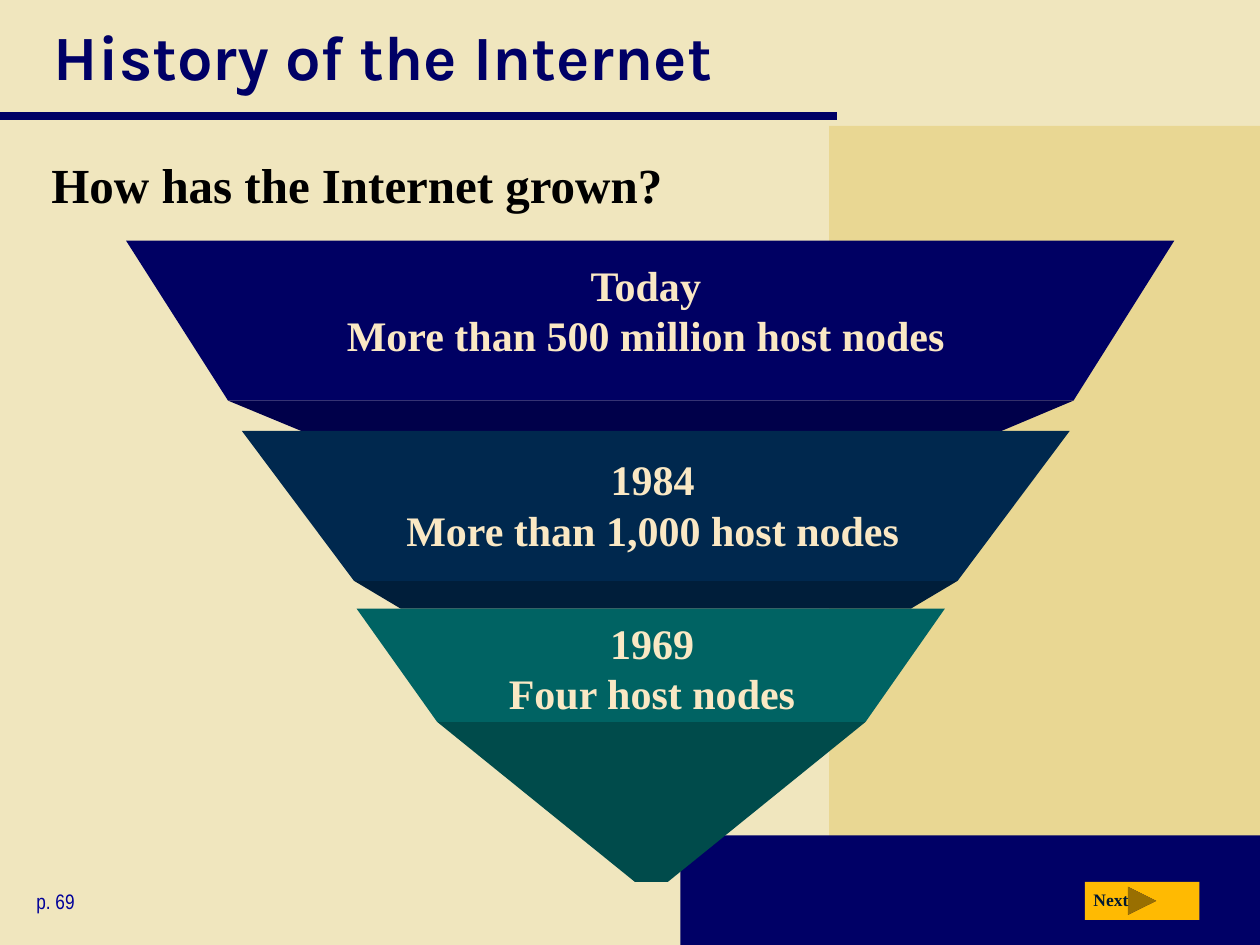
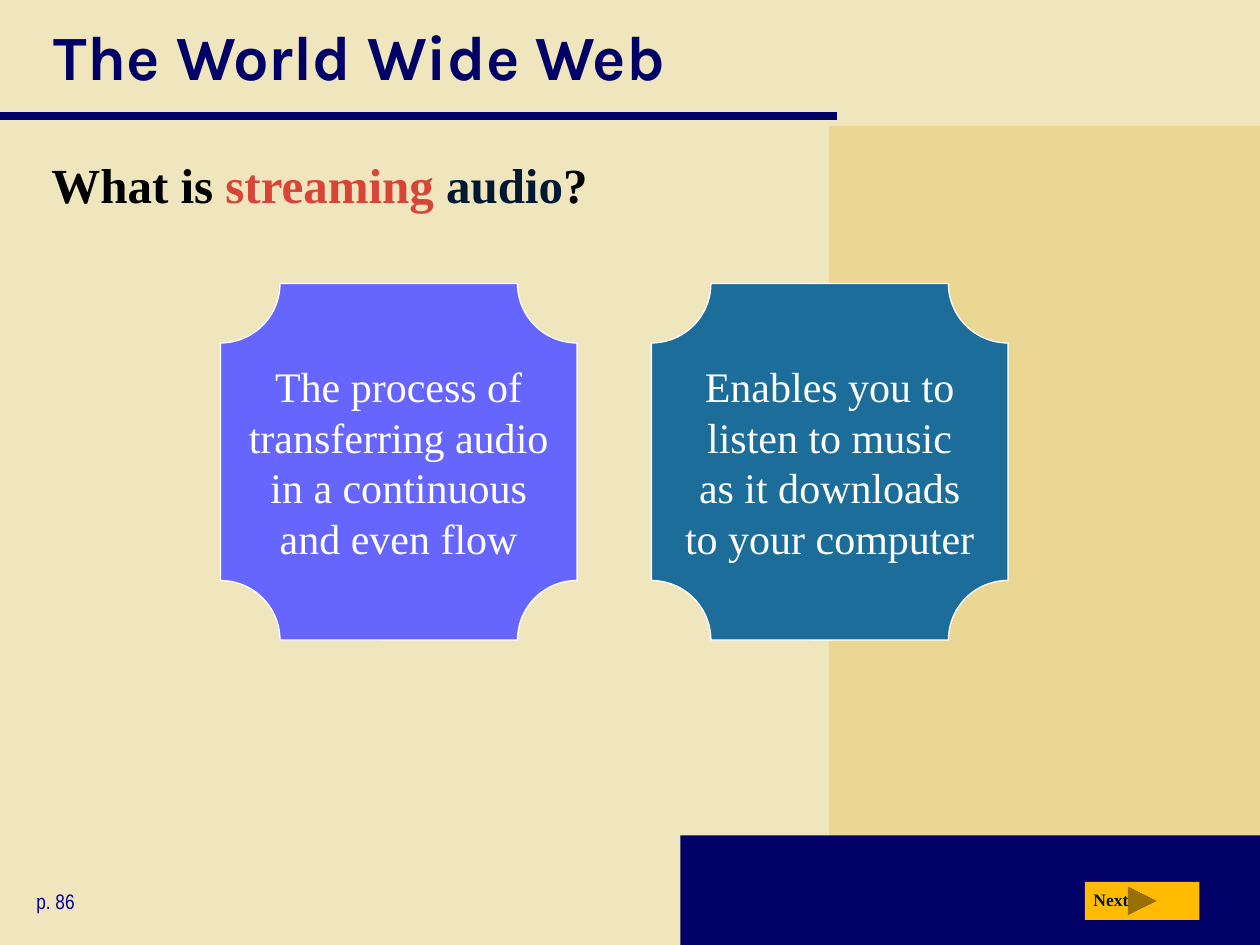
from pptx import Presentation, util as u
from pptx.dml.color import RGBColor
from pptx.enum import shapes, text
from pptx.oxml import parse_xml
from pptx.oxml.ns import nsdecls

SERIF, HEADING, NARROW = "Times New Roman", "Karla", "Arial Narrow"
NAVY = RGBColor(0x00, 0x00, 0x66)
PAPER = RGBColor(0xF0, 0xE6, 0xBE)
SAND = RGBColor(0xE9, 0xD7, 0x93)
PAGE_BLUE = RGBColor(0x00, 0x00, 0x99)
AMBER = RGBColor(0xFF, 0xBA, 0x02)
CREAM = RGBColor(0xFA, 0xE8, 0xC4)
BLACK = RGBColor(0x00, 0x00, 0x00)
WHITE = RGBColor(0xFF, 0xFF, 0xFF)
INK = RGBColor(0x00, 0x19, 0x32)
RED = RGBColor(0xD9, 0x44, 0x39)
VIOLET = RGBColor(0x66, 0x66, 0xFF)
STEEL = RGBColor(0x1C, 0x6D, 0x9A)

WIDTH, HEIGHT = 10, 7.5
PLAQUE_SIZE, PLAQUE_LEFT, PLAQUE_TOP, PLAQUE_STEP = 2.83, 1.75, 2.25, 3.42

HISTORY = {"title": "History of the Internet", "page": "p. 69",
           "question": [("How has the Internet grown?", BLACK)]}
WEB = {"title": "The World Wide Web", "page": "p. 86",
       "question": [("What is ", BLACK), ("streaming", RED), (" audio", INK), ("?", BLACK)]}

# Each edge is (left, right, y): top of the face, fold, end of the receding side.
TIERS = [
    {"lines": ["Today", "More than 500 million host nodes"],
     "edges": [(1, 9.32, 1.91), (1.81, 8.52, 3.18), (2.39, 7.95, 3.42)],
     "face": RGBColor(0x00, 0x00, 0x63), "side": RGBColor(0x00, 0x00, 0x4A),
     "box": (1, 1.91, 8.25, 1.01), "inset": 0.15},
    {"lines": ["1984", "More than 1,000 host nodes"],
     "edges": [(1.92, 8.49, 3.42), (2.81, 7.6, 4.61), (3.18, 7.23, 4.83)],
     "face": RGBColor(0x00, 0x28, 0x4E), "side": RGBColor(0x00, 0x1E, 0x3A),
     "box": (1.93, 3.5, 6.5, 0.95), "inset": 0.1},
    {"lines": ["1969", "Four host nodes"],
     "edges": [(2.83, 7.5, 4.83), (3.47, 6.87, 5.73), (5.04, 5.3, 7)],
     "face": RGBColor(0x00, 0x63, 0x63), "side": RGBColor(0x00, 0x4B, 0x4B),
     "box": (2.91, 4.85, 4.53, 0.9), "inset": 0.05},
]

PLAQUES = [
    (VIOLET, ["The process of", "transferring audio", "in a continuous", "and even flow"]),
    (STEEL, ["Enables you to", "listen to music", "as it downloads", "to your computer"]),
]


def inches(box):
    return [u.Inches(length) for length in box]


def add_run(paragraph, words, size, color, font=SERIF, bold=True):
    run = paragraph.add_run()
    run.text = words
    run.font.size, run.font.name, run.font.bold = u.Pt(size), font, bold
    run.font.color.rgb = color


def add_text(parent, box, paragraphs, size, font=SERIF, bold=True, centred=False,
             anchor=text.MSO_ANCHOR.TOP, inset=0.05):
    """Add a text box; each paragraph is a list of (words, color) runs."""
    frame = parent.shapes.add_textbox(*inches(box)).text_frame
    frame.word_wrap = True
    frame.vertical_anchor = anchor
    frame.margin_top = u.Inches(inset)
    for index, runs in enumerate(paragraphs):
        paragraph = frame.add_paragraph() if index else frame.paragraphs[0]
        paragraph.alignment = text.PP_ALIGN.CENTER if centred else text.PP_ALIGN.LEFT
        for words, color in runs:
            add_run(paragraph, words, size, color, font, bold)


def paint(shape, fill, line=None):
    shape.shadow.inherit = False
    shape.fill.solid()
    shape.fill.fore_color.rgb = fill
    if line is None:
        shape.line.fill.background()
    else:
        shape.line.color.rgb = line
        shape.line.width = u.Pt(0.75)


def add_shape(parent, kind, box, fill, line=None):
    shape = parent.shapes.add_shape(kind, *inches(box))
    paint(shape, fill, line)
    return shape


def add_trapezoid(parent, upper, lower, fill):
    left, right, top = upper
    low_left, low_right, bottom = lower
    corners = [(low_left, bottom), (low_right, bottom), (right, top)]
    builder = parent.shapes.build_freeform(u.Inches(left), u.Inches(top))
    builder.add_line_segments([inches(corner) for corner in corners], close=True)
    paint(builder.convert_to_shape(), fill)


def add_base_slide(presentation, content):
    """Add a slide with the shared bands, title, question, page number and button."""
    slide = presentation.slides.add_slide(presentation.slide_layouts[6])
    for left, top, color in [(6.58, 1, SAND), (5.4, 6.63, NAVY)]:
        add_shape(slide, shapes.MSO_SHAPE.RECTANGLE,
                  (left, top, WIDTH - left, HEIGHT - top), color)
    rule = slide.shapes.add_connector(shapes.MSO_CONNECTOR.STRAIGHT, *inches((0, 0.92, 6.64, 0.92)))
    rule.line.color.rgb = NAVY
    rule.line.width = u.Pt(5)
    rule._element.spPr.append(parse_xml(f"<a:effectLst {nsdecls('a')}/>"))

    add_text(slide, (0.33, 0, 9.39, 0.88), [[(content["title"], NAVY)]], 36, HEADING,
             anchor=text.MSO_ANCHOR.MIDDLE)
    add_text(slide, (0.31, 1.18, 9.39, 0.6), [content["question"]], 28)
    add_text(slide, (0.19, 7, 1.69, 0.3), [[(content["page"], PAGE_BLUE)]], 12, NARROW, bold=False)

    button = slide.shapes.add_group_shape()
    add_shape(button, shapes.MSO_SHAPE.ACTION_BUTTON_FORWARD_OR_NEXT, (8.61, 7, 0.91, 0.3), AMBER)
    add_text(button, (8.58, 7.01, 0.51, 0.27), [[("Next", INK)]], 10)
    return slide


def add_tier(slide, tier):
    group = slide.shapes.add_group_shape()
    top, fold, end = tier["edges"]
    add_trapezoid(group, fold, end, tier["side"])
    add_trapezoid(group, top, fold, tier["face"])
    add_text(group, tier["box"], [[(line, CREAM)] for line in tier["lines"]], 24,
             centred=True, inset=tier["inset"])


def add_plaque(slide, column, fill, lines):
    left = PLAQUE_LEFT + column * PLAQUE_STEP
    plaque = add_shape(slide, shapes.MSO_SHAPE.PLAQUE,
                       (left, PLAQUE_TOP, PLAQUE_SIZE, PLAQUE_SIZE), fill, WHITE)
    plaque.adjustments[0] = 0.167
    frame = plaque.text_frame
    frame.word_wrap = False
    frame.vertical_anchor = text.MSO_ANCHOR.MIDDLE
    paragraph = frame.paragraphs[0]
    paragraph.alignment = text.PP_ALIGN.CENTER
    for index, line in enumerate(lines):
        if index:
            paragraph.add_line_break()
        add_run(paragraph, line, 24, WHITE, bold=False)


def main():
    presentation = Presentation()
    presentation.slide_width, presentation.slide_height = inches((WIDTH, HEIGHT))
    background = presentation.slide_master.background.fill
    background.solid()
    background.fore_color.rgb = PAPER

    history = add_base_slide(presentation, HISTORY)
    for tier in TIERS:
        add_tier(history, tier)

    web = add_base_slide(presentation, WEB)
    for column, (fill, lines) in enumerate(PLAQUES):
        add_plaque(web, column, fill, lines)

    presentation.save("out.pptx")


if __name__ == "__main__":
    main()
